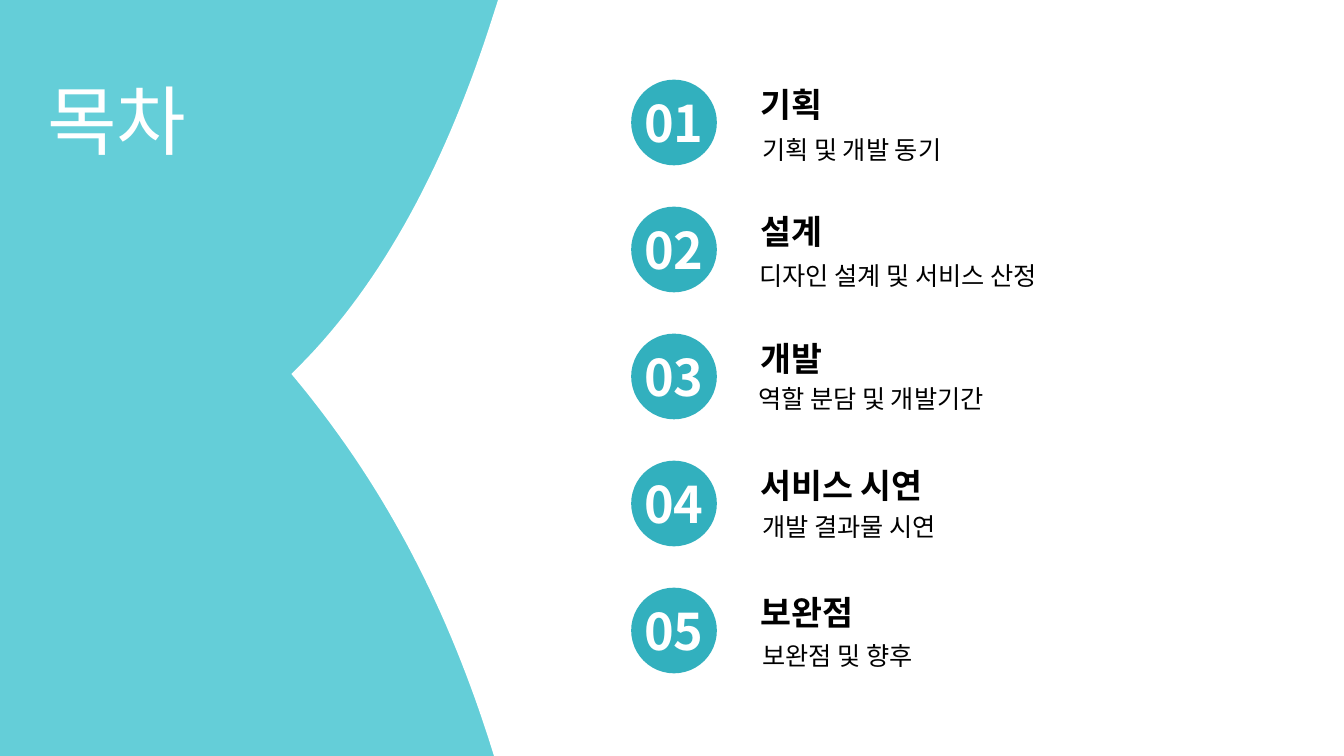
"""Build the table-of-contents slide with five numbered sections."""
from dataclasses import dataclass

import lxml.etree
import pptx
import pptx.dml.color
import pptx.enum.shapes
import pptx.enum.text
import pptx.oxml.ns
import pptx.util

Inches = pptx.util.Inches
Align = pptx.enum.text.PP_ALIGN
Anchor = pptx.enum.text.MSO_ANCHOR
Point = tuple[float, float]


@dataclass(frozen=True)
class Theme:
    font: str = "Noto Sans CJK KR"
    background: str = "64CED8"
    panel: str = "FFFFFF"
    badge: str = "32B0BE"
    light: str = "FFFFFF"
    dark: str = "000000"
    title_size: int = 54
    number_size: int = 36
    heading_size: int = 24
    detail_size: int = 18


@dataclass(frozen=True)
class Section:
    heading: str
    detail: str
    detail_left: float
    detail_top: float


THEME = Theme()
SLIDE_WIDTH, SLIDE_HEIGHT = 13.33, 7.5
FIRST_TOP, PITCH = 0.79, 1.26
BADGE_LEFT, BADGE_SIZE = 6.26, 0.85
TEXT_LEFT, TEXT_WIDTH = 7.42, 5.6
CURVE_STEPS = 32
SECTIONS = [
    Section("기획", "기획 및 개발 동기", 7.46, 1.28),
    Section("설계", "디자인 설계 및 서비스 산정", 7.43, 2.53),
    Section("개발", "역할 분담 및 개발기간", 7.42, 3.75),
    Section("서비스 시연", "개발 결과물 시연", 7.46, 5.02),
    Section("보완점", "보완점 및 향후", 7.46, 6.3),
]


def rgb(color: str) -> pptx.dml.color.RGBColor:
    return pptx.dml.color.RGBColor.from_string(color)


def fill_shape(shape, color: str) -> None:
    shape.shadow.inherit = False
    shape.fill.solid()
    shape.fill.fore_color.rgb = rgb(color)
    shape.line.fill.background()


def write_text(shape, text: str, size: int, color: str, bold: bool = False) -> None:
    shape.text_frame.text = text
    font = shape.text_frame.paragraphs[0].runs[0].font
    font.name = THEME.font
    font.size = pptx.util.Pt(size)
    font.bold = bold
    font.color.rgb = rgb(color)
    latin = font._element.find(pptx.oxml.ns.qn("a:latin"))
    east_asian = lxml.etree.Element(pptx.oxml.ns.qn("a:ea"), typeface=THEME.font)
    latin.addnext(east_asian)


def add_text(slide, left: float, top: float, width: float, height: float,
             text: str, size: int, color: str, bold: bool = False, inset: float = 0.1):
    box = slide.shapes.add_textbox(Inches(left), Inches(top), Inches(width), Inches(height))
    frame = box.text_frame
    frame.word_wrap = True
    frame.auto_size = pptx.enum.text.MSO_AUTO_SIZE.SHAPE_TO_FIT_TEXT
    frame.margin_left = frame.margin_right = Inches(inset)
    write_text(box, text, size, color, bold)
    return box


def curve(start: Point, control_1: Point, control_2: Point, end: Point) -> list[Point]:
    points = []
    for step in range(CURVE_STEPS + 1):
        t = step / CURVE_STEPS
        weights = ((1 - t) ** 3, 3 * t * (1 - t) ** 2, 3 * t * t * (1 - t), t ** 3)
        anchors = (start, control_1, control_2, end)
        points.append((sum(w * p[0] for w, p in zip(weights, anchors)),
                       sum(w * p[1] for w, p in zip(weights, anchors))))
    return points


def add_panel(slide) -> None:
    tip = (2.89, 3.71)
    outline = [
        (4.94, 0), (SLIDE_WIDTH, 0), (SLIDE_WIDTH, SLIDE_HEIGHT), (4.9, SLIDE_HEIGHT),
        *curve((4.84, 7.31), (4.39, 5.92), (3.77, 4.76), tip),
        *curve(tip, (3.74, 2.89), (4.38, 1.72), (4.85, 0.28))[1:],
    ]
    points = [(Inches(x), Inches(y)) for x, y in outline]
    builder = slide.shapes.build_freeform(*points[0])
    builder.add_line_segments(points[1:], close=True)
    fill_shape(builder.convert_to_shape(), THEME.panel)


def add_badge(slide, top: float, number: int) -> None:
    badge = slide.shapes.add_shape(
        pptx.enum.shapes.MSO_SHAPE.OVAL, Inches(BADGE_LEFT), Inches(top),
        Inches(BADGE_SIZE), Inches(BADGE_SIZE))
    fill_shape(badge, THEME.badge)
    frame = badge.text_frame
    frame.margin_left = frame.margin_right = frame.margin_top = frame.margin_bottom = 0
    frame.word_wrap = False
    frame.vertical_anchor = Anchor.MIDDLE
    write_text(badge, f"{number:02d}", THEME.number_size, THEME.light, bold=True)
    frame.paragraphs[0].alignment = Align.CENTER


def add_section(slide, number: int, section: Section) -> None:
    top = FIRST_TOP + (number - 1) * PITCH
    add_badge(slide, top, number)
    add_text(slide, TEXT_LEFT, top - 0.01, TEXT_WIDTH, 0.5, section.heading,
             THEME.heading_size, THEME.dark, bold=True, inset=0.12)
    add_text(slide, section.detail_left, section.detail_top, TEXT_WIDTH, 0.4,
             section.detail, THEME.detail_size, THEME.dark)


def main() -> None:
    presentation = pptx.Presentation()
    presentation.slide_width = Inches(SLIDE_WIDTH)
    presentation.slide_height = Inches(SLIDE_HEIGHT)
    slide = presentation.slides.add_slide(presentation.slide_layouts[6])
    slide.background.fill.solid()
    slide.background.fill.fore_color.rgb = rgb(THEME.background)
    add_panel(slide)
    title = add_text(slide, 0.37, 0.68, 3.82, 1.01, "목차", THEME.title_size, THEME.light)
    title.text_frame.vertical_anchor = Anchor.MIDDLE
    for number, section in enumerate(SECTIONS, start=1):
        add_section(slide, number, section)
    presentation.save("out.pptx")


if __name__ == "__main__":
    main()
